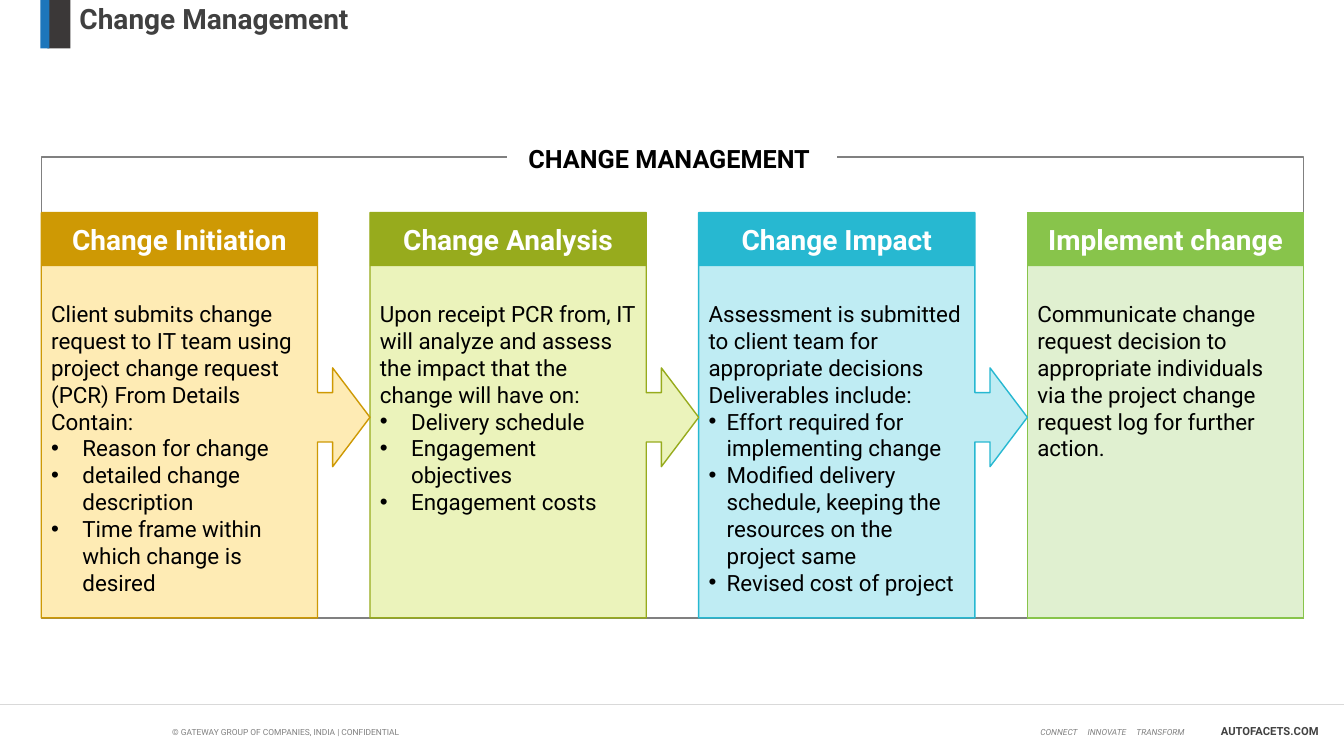
from lxml import etree
from pptx import Presentation
from pptx import util as u
from pptx.dml.color import RGBColor
from pptx.enum import shapes, text
from pptx.oxml.ns import qn

FONT = "Roboto"
WHITE = RGBColor(0xFF, 0xFF, 0xFF)
BLACK = RGBColor(0, 0, 0)
GRAY = RGBColor(0x80, 0x80, 0x80)
RULE = RGBColor(0xD9, 0xD9, 0xD9)
TITLE = RGBColor(0x40, 0x40, 0x40)
SITE = RGBColor(0x41, 0x41, 0x41)
CHARCOAL = RGBColor(0x3B, 0x38, 0x38)
BLUE = RGBColor(0x1D, 0x76, 0xBB)
GOLD, GOLD_TINT = RGBColor(0xCE, 0x99, 0x04), RGBColor(0xFE, 0xEB, 0xB4)
OLIVE, OLIVE_TINT = RGBColor(0x97, 0xAB, 0x1D), RGBColor(0xEB, 0xF3, 0xBB)
CYAN, CYAN_TINT = RGBColor(0x27, 0xB8, 0xD1), RGBColor(0xBF, 0xEC, 0xF3)
GREEN, GREEN_TINT = RGBColor(0x88, 0xC4, 0x4B), RGBColor(0xE0, 0xF0, 0xD0)

# Heading, colour, tint, introduction, bullets, bullet indent
STAGES = [
    ("Change Initiation", GOLD, GOLD_TINT,
     "Client submits change request to IT team using project change request "
     "(PCR) From Details Contain:",
     ["Reason for change", "detailed change description",
      "Time frame within which change is desired"], 0.31),
    ("Change Analysis", OLIVE, OLIVE_TINT,
     "Upon receipt PCR from, IT will analyze and assess the impact that the "
     "change will have on:",
     ["Delivery schedule", "Engagement objectives", "Engagement costs"], 0.31),
    ("Change Impact", CYAN, CYAN_TINT,
     "Assessment is submitted to client team for appropriate decisions "
     "Deliverables include:",
     ["Effort required for implementing change",
      "Modified delivery schedule, keeping the resources on the project same",
      "Revised cost of project"], 0.18),
    ("Implement change", GREEN, GREEN_TINT,
     "Communicate change request decision to appropriate individuals via the "
     "project change request log for further action.", [], 0),
]


def paint(sp, fill=None, line=None):
    sp.shadow.inherit = False
    if fill is None:
        sp.fill.background()
    else:
        sp.fill.solid()
        sp.fill.fore_color.rgb = fill
    if line is None:
        sp.line.fill.background()
    else:
        sp.line.color.rgb = line
        sp.line.width = u.Pt(1)


def add_rect(slide, x, y, w, h, fill=None, line=None):
    sp = slide.shapes.add_shape(shapes.MSO_SHAPE.RECTANGLE, u.Inches(x),
                                u.Inches(y), u.Inches(w), u.Inches(h))
    paint(sp, fill, line)
    return sp


def add_textbox(slide, x, y, w, h):
    return slide.shapes.add_textbox(u.Inches(x), u.Inches(y), u.Inches(w), u.Inches(h))


def write(sp, content, size, color, bold=False, italic=False, align=text.PP_ALIGN.LEFT,
          anchor=text.MSO_ANCHOR.TOP, wrap=True, bullets=(), indent=0, spacing=None):
    tf = sp.text_frame
    tf.word_wrap = wrap
    tf.vertical_anchor = anchor
    for i, line in enumerate([content, *bullets]):
        p = tf.paragraphs[0] if i == 0 else tf.add_paragraph()
        if i > 0:
            pPr = p._p.get_or_add_pPr()
            pPr.set("marL", str(u.Inches(indent)))
            pPr.set("indent", str(-u.Inches(indent)))
            etree.SubElement(pPr, qn("a:buFont")).set("typeface", "Arial")
            etree.SubElement(pPr, qn("a:buChar")).set("char", "•")
        p.alignment = align
        p.line_spacing = spacing
        r = p.add_run()
        r.text = line
        r.font.name = FONT
        r.font.size = u.Pt(size)
        r.font.bold = bold
        r.font.italic = italic
        r.font.color.rgb = color


def add_title(slide, x, y, w, h):
    # Two-tone marker beside the title
    add_rect(slide, x + 0.07, y, 0.23, h, CHARCOAL)
    add_rect(slide, x, y, 0.09, h, BLUE)
    write(add_textbox(slide, x + 0.29, y, w - 0.29, h), "Change Management", 20, TITLE,
          bold=True, spacing=0.9)


def add_footer(slide, x, y, w):
    rule = slide.shapes.add_connector(shapes.MSO_CONNECTOR.STRAIGHT, u.Inches(x),
                                      u.Inches(y), u.Inches(x + w), u.Inches(y))
    rule.line.color.rgb = RULE
    rule.line.width = u.Pt(0.5)
    etree.SubElement(rule._element.spPr, qn("a:effectLst"))
    write(add_textbox(slide, x + 1.61, y + 0.17, 3.69, 0.2),
          "© GATEWAY GROUP OF COMPANIES, INDIA | CONFIDENTIAL", 6, GRAY)
    write(add_textbox(slide, x + 10.22, y + 0.17, 1.94, 0.2),
          "CONNECT     INNOVATE     TRANSFORM", 6, GRAY, italic=True)
    write(add_textbox(slide, x + 12.01, y + 0.15, 1.22, 0.24),
          "AUTOFACETS.COM", 8, SITE, bold=True, wrap=False)


def add_arrow_panel(slide, x, y, w, h, reach, fill, line):
    """Panel whose right side grows an arrow that ends at x + reach."""
    mid, neck, head = y + h / 2 + 0.02, 0.245, 0.49
    right, base = x + w, x + w + 0.15
    points = [(x, y), (right, y), (right, mid - neck), (base, mid - neck),
              (base, mid - head), (x + reach, mid), (base, mid + head),
              (base, mid + neck), (right, mid + neck), (right, y + h), (x, y + h)]
    points = [(u.Inches(px), u.Inches(py)) for px, py in points]
    builder = slide.shapes.build_freeform(*points[0])
    builder.add_line_segments(points[1:], close=True)
    paint(builder.convert_to_shape(), fill, line)


def add_stage(slide, x, y, w, h, pitch, stage, last):
    heading, color, tint, intro, bullets, indent = stage
    if last:
        add_rect(slide, x, y, w, h, tint, color)
    else:
        add_arrow_panel(slide, x, y, w, h, pitch, tint, color)
    write(add_rect(slide, x, y, w, 0.53, color), heading, 20, WHITE, bold=True,
          align=text.PP_ALIGN.CENTER, anchor=text.MSO_ANCHOR.MIDDLE)
    write(add_textbox(slide, x, y + 0.82, w, h - 0.96), intro, 16, BLACK,
          bullets=bullets, indent=indent)


def add_process(slide, x, y, w, h):
    add_rect(slide, x, y, w, h, line=GRAY)
    # Stages, drawn from right to left
    stage_w, top = 2.74, 0.55
    pitch = (w - stage_w) / (len(STAGES) - 1)
    for i, stage in reversed(list(enumerate(STAGES))):
        add_stage(slide, x + i * pitch, y + top, stage_w, h - top, pitch, stage,
                  last=i == len(STAGES) - 1)
    # Label that interrupts the frame
    write(add_rect(slide, x + 4.62, y - 0.19, 3.27, 0.4, WHITE), "CHANGE MANAGEMENT ", 18,
          BLACK, bold=True, align=text.PP_ALIGN.CENTER, anchor=text.MSO_ANCHOR.MIDDLE,
          wrap=False)


def main():
    prs = Presentation()
    prs.slide_width, prs.slide_height = u.Inches(13.33), u.Inches(7.5)
    slide = prs.slides.add_slide(prs.slide_layouts[6])
    add_footer(slide, 0, 6.99, 13.33)
    add_title(slide, 0.4, 0, 12.93, 0.48)
    add_process(slide, 0.41, 1.56, 12.52, 4.57)
    prs.save("out.pptx")


if __name__ == "__main__":
    main()
